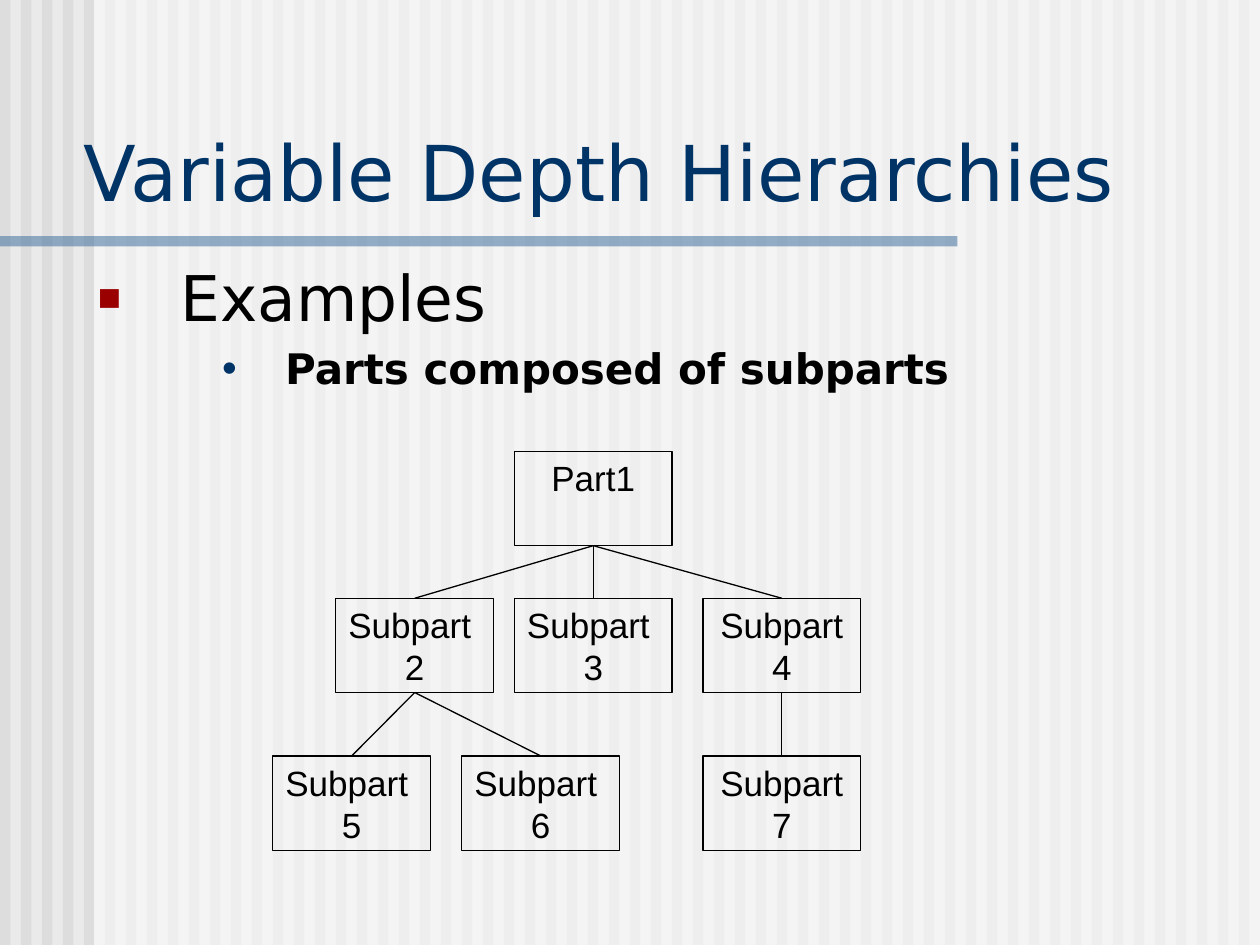
import copy

import lxml.etree
import pptx
import pptx.dml.color
import pptx.enum.shapes
import pptx.enum.text
import pptx.oxml.ns
import pptx.util

Cm = pptx.util.Cm
Pt = pptx.util.Pt
qn = pptx.oxml.ns.qn
RECT = pptx.enum.shapes.MSO_SHAPE.RECTANGLE
STRAIGHT = pptx.enum.shapes.MSO_CONNECTOR.STRAIGHT
ANCHOR = pptx.enum.text.MSO_ANCHOR
ALIGN = pptx.enum.text.PP_ALIGN
SLIDE_W, SLIDE_H = 25.4, 19.05
NODE_W, NODE_H = 3.18, 1.9


def color(value):
    return pptx.dml.color.RGBColor.from_string(value)


def sub(parent, tag, **attrs):
    el = lxml.etree.SubElement(parent, qn(tag))
    for name, value in attrs.items():
        el.set(name, str(value))
    return el


def add_rect(s, box, fill=None, alpha=None):
    sp = s.shapes.add_shape(RECT, *map(Cm, box))
    sp.shadow.inherit = False
    sp.line.fill.background()
    if fill:
        sp.fill.solid()
        sp.fill.fore_color.rgb = color(fill)
    else:
        sp.fill.background()
    if alpha:
        clr = sp._element.spPr.find(qn("a:solidFill"))[0]
        sub(clr, "a:alpha", val=alpha * 1000)
    return sp


def format_text(p, font, size, value, bold=False):
    for r in p.runs:
        r.font.name = font
        r.font.size = Pt(size)
        r.font.bold = bold
        r.font.color.rgb = color(value)
    for br in p._p.findall(qn("a:br")):
        br.append(copy.deepcopy(p.runs[0]._r.rPr))


def add_background(s, box):
    x, y, w, h = box
    s.background.fill.solid()
    s.background.fill.fore_color.rgb = color("EAEAEA")
    count = 60
    pitch = w / count
    for i in range(count):
        add_rect(s, (x + i * pitch, y, pitch / 2, h), "DDDDDD")
    add_rect(s, (x + 1.9, y, w - 1.9, h), "FFFFFF", 50)
    add_rect(s, (x, y + 4.76, 19.3, 0.21), "336699", 50)


def add_title(s, box):
    tf = s.shapes.add_textbox(*map(Cm, box)).text_frame
    tf.word_wrap = True
    tf.vertical_anchor = ANCHOR.BOTTOM
    tf.text = "Variable Depth Hierarchies"
    format_text(tf.paragraphs[0], "DejaVu Sans", 44, "003366")


def add_bullet(p, char, value, percent, left, hanging):
    pPr = p._p.get_or_add_pPr()
    pPr.set("marL", str(Cm(left)))
    pPr.set("indent", str(-Cm(hanging)))
    sub(sub(pPr, "a:buClr"), "a:srgbClr", val=value)
    sub(pPr, "a:buSzPct", val=percent * 1000)
    sub(pPr, "a:buFont", typeface="Arial")
    sub(pPr, "a:buChar", char=char)


def add_body(s, box):
    tf = s.shapes.add_textbox(*map(Cm, box)).text_frame
    tf.word_wrap = True
    tf.text = "Examples\nParts composed of subparts"
    head, item = tf.paragraphs
    item.level = 1
    head.space_before = Pt(3)
    item.space_before = Pt(5)
    add_bullet(head, "▪", "9A0000", 120, 1.7, 1.7)
    add_bullet(item, "•", "003366", 100, 3.81, 1.27)
    format_text(head, "DejaVu Sans", 36, "000000")
    format_text(item, "DejaVu Sans", 24, "000000", True)


def add_node(s, x, y, text):
    sp = add_rect(s, (x, y, NODE_W, NODE_H))
    sp.line.color.rgb = color("000000")
    sp.line.width = Pt(0.75)
    tf = sp.text_frame
    tf.word_wrap = False
    tf.vertical_anchor = ANCHOR.MIDDLE
    p = tf.paragraphs[0]
    p.text = text
    p.alignment = ALIGN.CENTER
    format_text(p, "Arial", 20, "000000")
    return sp


def add_link(s, parent, child):
    c = s.shapes.add_connector(STRAIGHT, 0, 0, 0, 0)
    c.begin_connect(parent, 2)
    c.end_connect(child, 0)
    c.line.color.rgb = color("000000")
    c.line.width = Pt(0.75)
    sub(c._element.spPr, "a:effectLst")


def add_hierarchy(s, box):
    x, y, w, h = box
    middle, bottom = 2.96, h - NODE_H
    right = w - NODE_W
    parts = {
        1: (4.87, 0, "Part1\v"),
        2: (1.27, middle, "Subpart \v2"),
        3: (4.87, middle, "Subpart \v3"),
        5: (0, bottom, "Subpart \v5"),
        6: (3.81, bottom, "Subpart \v6"),
        4: (right, middle, "Subpart\v4"),
        7: (right, bottom, "Subpart\v7"),
    }
    nodes = {n: add_node(s, x + dx, y + dy, text)
             for n, (dx, dy, text) in parts.items()}
    for parent, child in ((1, 2), (1, 3), (1, 4), (2, 5), (2, 6), (4, 7)):
        add_link(s, nodes[parent], nodes[child])


def main():
    prs = pptx.Presentation()
    prs.slide_width, prs.slide_height = Cm(SLIDE_W), Cm(SLIDE_H)
    s = prs.slides.add_slide(prs.slide_layouts[6])
    add_background(s, (0, 0, SLIDE_W, SLIDE_H))
    add_title(s, (1.44, 2.39, 23.88, 2.1))
    add_body(s, (1.69, 5.08, 22.86, 13.12))
    add_hierarchy(s, (5.5, 9.1, 11.85, 8.04))
    prs.save("out.pptx")


if __name__ == "__main__":
    main()
